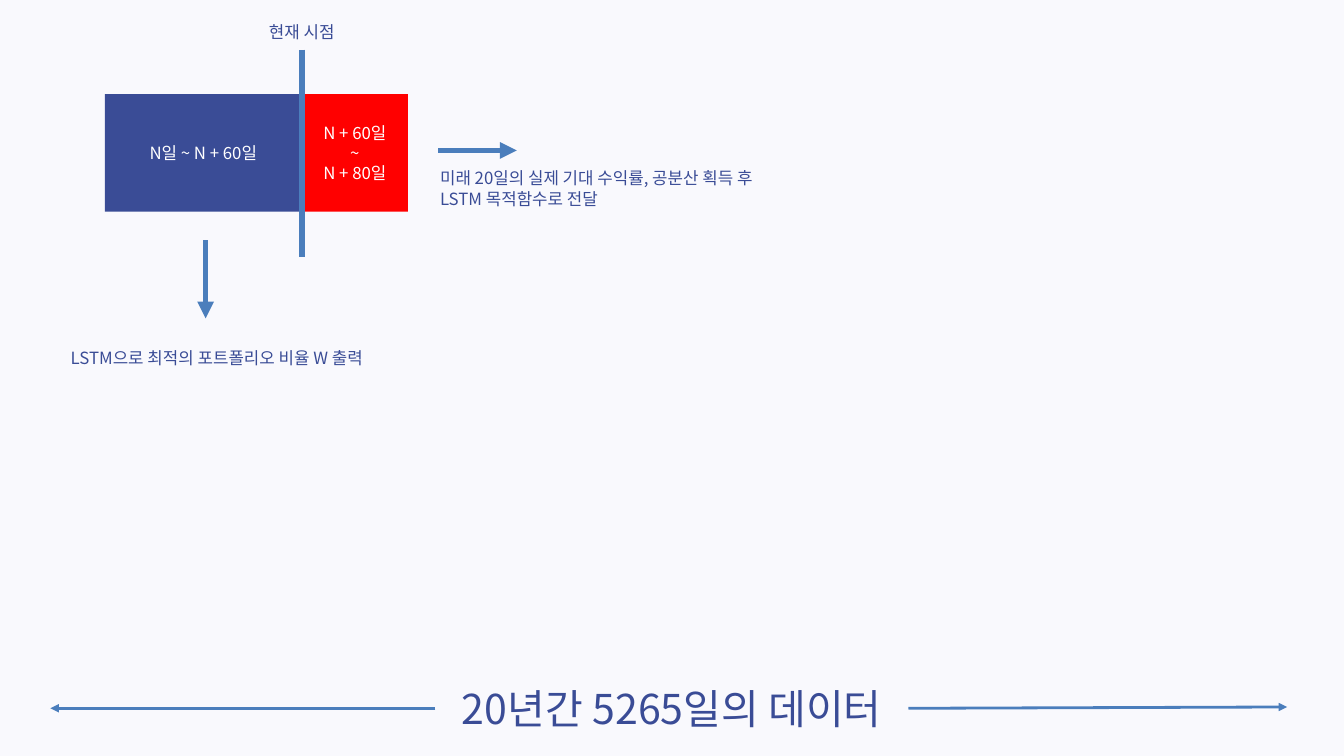
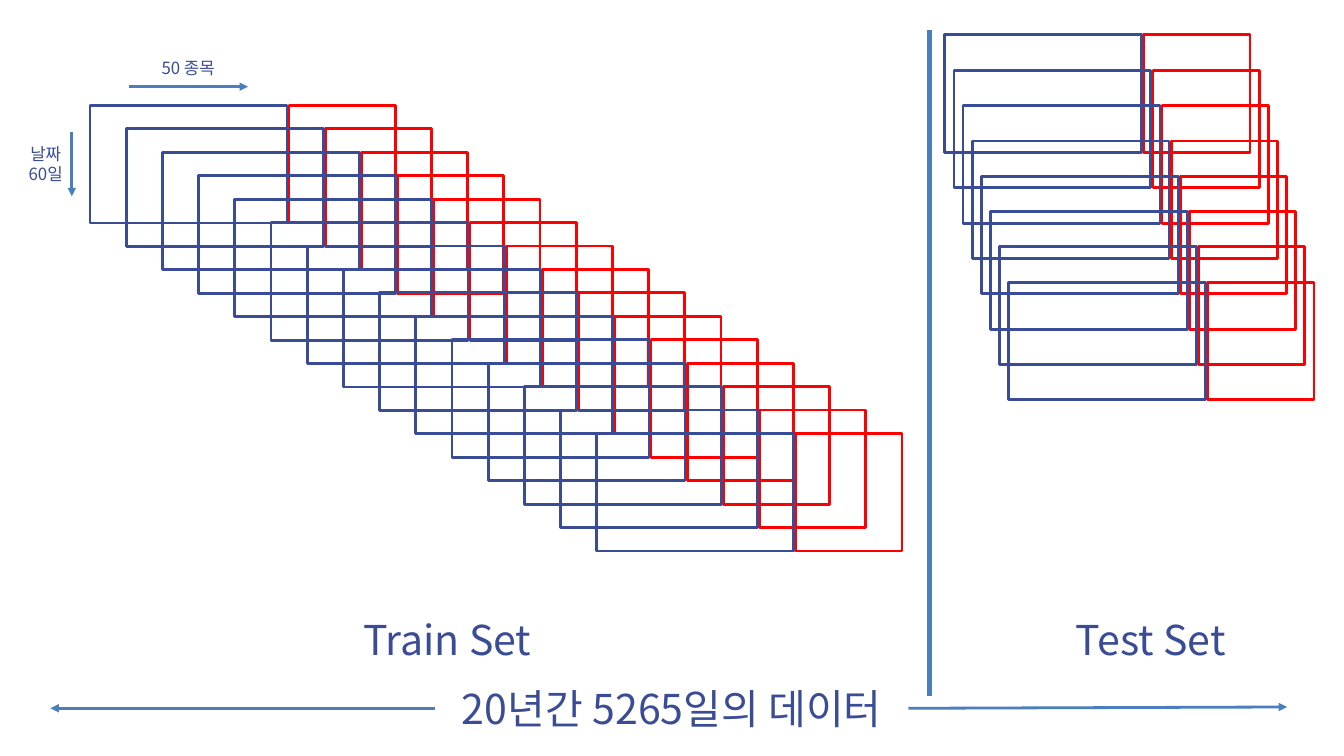
from dataclasses import dataclass
from typing import NamedTuple

from lxml.etree import SubElement
from pptx import Presentation
from pptx.dml.color import RGBColor
from pptx.enum.shapes import MSO_CONNECTOR, MSO_SHAPE
from pptx.enum.text import MSO_ANCHOR, MSO_AUTO_SIZE, PP_ALIGN
from pptx.oxml.ns import qn
from pptx.util import Pt


@dataclass(frozen=True)
class Theme:
    past: RGBColor = RGBColor(0x3A, 0x4C, 0x96)
    future: RGBColor = RGBColor(0xFF, 0x00, 0x00)
    arrow: RGBColor = RGBColor(0x4B, 0x7E, 0xBC)
    white: RGBColor = RGBColor(0xFF, 0xFF, 0xFF)
    pale: RGBColor = RGBColor(0xF9, 0xF9, 0xFD)
    font: str = "Noto Sans CJK KR"
    heading: int = 44
    body: int = 18
    thin: int = 3
    thick: int = 6


class Box(NamedTuple):
    left: float
    top: float
    width: float
    height: float

    def inner(self, dx, dy, width, height):
        return Box(self.left + dx, self.top + dy, width, height)

    def in_points(self):
        return [Pt(length) for length in self]


THEME = Theme()
SLIDE = Box(0, 0, 1440, 810)

# Sizes of one data window: 60 past days, 20 future days
PAST_WIDTH, FUTURE_WIDTH, WINDOW_HEIGHT = 211, 113.8, 126
WINDOW_GAP = 2.2


def write(frame, lines, size, color, align=PP_ALIGN.CENTER):
    frame.word_wrap = True
    for index, line in enumerate(lines):
        paragraph = frame.add_paragraph() if index else frame.paragraphs[0]
        paragraph.text = line
        paragraph.alignment = align
        paragraph.font.size = Pt(size)
        paragraph.font.name = THEME.font
        paragraph.font.color.rgb = color
        # Korean letters take the East Asian typeface
        defaults = paragraph._p.pPr.find(qn("a:defRPr"))
        SubElement(defaults, qn("a:ea")).set("typeface", THEME.font)


def label(shapes, box, *lines, size=THEME.body, align=PP_ALIGN.CENTER):
    frame = shapes.add_textbox(*box.in_points()).text_frame
    write(frame, lines, size, THEME.past, align)
    frame.auto_size = MSO_AUTO_SIZE.SHAPE_TO_FIT_TEXT


def rule(shapes, start, end, weight=THEME.thin, arrow=True):
    ends = [Pt(length) for length in (*start, *end)]
    connector = shapes.add_connector(MSO_CONNECTOR.STRAIGHT, *ends)
    connector.line.color.rgb = THEME.arrow
    connector.line.width = Pt(weight)
    properties = connector._element.spPr
    if arrow:
        SubElement(properties.find(qn("a:ln")), qn("a:tailEnd")).set("type", "triangle")
    SubElement(properties, qn("a:effectLst"))


def period(shapes, box, color, *lines):
    """Filled block when it carries text, outlined block otherwise."""
    block = shapes.add_shape(MSO_SHAPE.RECTANGLE, *box.in_points())
    block.shadow.inherit = False
    if lines:
        block.fill.solid()
        block.fill.fore_color.rgb = color
        block.line.fill.background()
        block.text_frame.vertical_anchor = MSO_ANCHOR.MIDDLE
        write(block.text_frame, lines, THEME.body, THEME.white)
    else:
        block.fill.background()
        block.line.color.rgb = color
        block.line.width = Pt(THEME.thin)


def new_slide(deck, background):
    slide = deck.slides.add_slide(deck.slide_layouts[6])
    slide.background.fill.solid()
    slide.background.fill.fore_color.rgb = background
    timeline(slide.shapes, SLIDE.inner(54, 728.6, 1325, 60.5))
    return slide


def timeline(shapes, box):
    """Footer: the whole data span with an arrow to each side."""
    middle = box.top + 30.3
    label(shapes, box.inner(267, 0, 798, 60.5), "20년간 5265일의 데이터", size=THEME.heading)
    rule(shapes, (box.left + 412.6, middle), (box.left, middle))
    rule(shapes, (box.left + 919.4, middle), (box.left + box.width, middle - 1.4))


def single_window(shapes, box):
    """One window split at the present, with the use of each part."""
    present = box.left + 269.3
    past = box.inner(269.3 - PAST_WIDTH, 80.6, PAST_WIDTH, WINDOW_HEIGHT)
    period(shapes, past, THEME.past, "N일 ~ N + 60일")
    period(shapes, past.inner(PAST_WIDTH, 0, FUTURE_WIDTH, WINDOW_HEIGHT), THEME.future,
           "N + 60일", "~", "N + 80일")

    # Present moment
    rule(shapes, (present, box.top + 33), (present, box.top + 255), THEME.thick, arrow=False)
    label(shapes, box.inner(212.4, 0, FUTURE_WIDTH, 29), "현재 시점")

    # Past leads down to the portfolio weights
    output_x = box.left + 166.3
    rule(shapes, (output_x, box.top + 237), (output_x, box.top + 321), THEME.thick)
    label(shapes, box.inner(0, 348.5, 356.4, 29), "LSTM으로 최적의 포트폴리오 비율 W 출력")

    # Future leads right to the objective
    target_y = box.top + 141
    rule(shapes, (box.left + 415.4, target_y), (box.left + 499.7, target_y), THEME.thick)
    label(shapes, box.inner(410.4, 156.3, 381, 51),
          "미래 20일의 실제 기대 수익률, 공분산 획득 후", "LSTM 목적함수로 전달",
          align=PP_ALIGN.LEFT)


def sliding_windows(shapes, box, count):
    """Equal steps carry the windows from the top left to the bottom right."""
    window_width = PAST_WIDTH + WINDOW_GAP + FUTURE_WIDTH
    step_x = (box.width - window_width) / (count - 1)
    step_y = (box.height - WINDOW_HEIGHT) / (count - 1)
    for index in range(count):
        window = shapes.add_group_shape().shapes
        past = box.inner(index * step_x, index * step_y, PAST_WIDTH, WINDOW_HEIGHT)
        future = past.inner(PAST_WIDTH + WINDOW_GAP, 0, FUTURE_WIDTH, WINDOW_HEIGHT)
        period(window, future, THEME.future)
        period(window, past, THEME.past)


def window_axes(shapes, box):
    """Stocks run across, dates run down."""
    label(shapes, box.inner(126.7, 0, FUTURE_WIDTH, 29), "50 종목")
    stocks_y = box.top + 34.6
    rule(shapes, (box.left + 120.2, stocks_y), (box.left + 247.7, stocks_y))
    dates_x = box.left + 59
    rule(shapes, (dates_x, box.top + 82.8), (dates_x, box.top + 152))
    label(shapes, box.inner(0, 92.2, 62, 51), "날짜", "60일")


def split_slide(slide):
    shapes = slide.shapes
    sliding_windows(shapes, SLIDE.inner(96.5, 113, 869.9, 477.4), 15)
    window_axes(shapes, SLIDE.inner(18, 58.3, 248, 152))

    # Border between training and test data
    rule(shapes, (995.8, 746), (995.8, 32.4), THEME.thick, arrow=False)
    sliding_windows(shapes, SLIDE.inner(1012.3, 37.4, 395.5, 391), 8)
    for name, left in (("Train Set", 365.8), ("Test Set", 1119.6)):
        label(shapes, SLIDE.inner(left, 655.2, 226.8, 60.5), name, size=THEME.heading)


def main():
    deck = Presentation()
    deck.slide_width, deck.slide_height = Pt(SLIDE.width), Pt(SLIDE.height)

    window_slide = new_slide(deck, THEME.pale)
    single_window(window_slide.shapes.add_group_shape().shapes, SLIDE.inner(54, 20.2, 791, 378))
    split_slide(new_slide(deck, THEME.white))

    deck.save("out.pptx")


if __name__ == "__main__":
    main()
